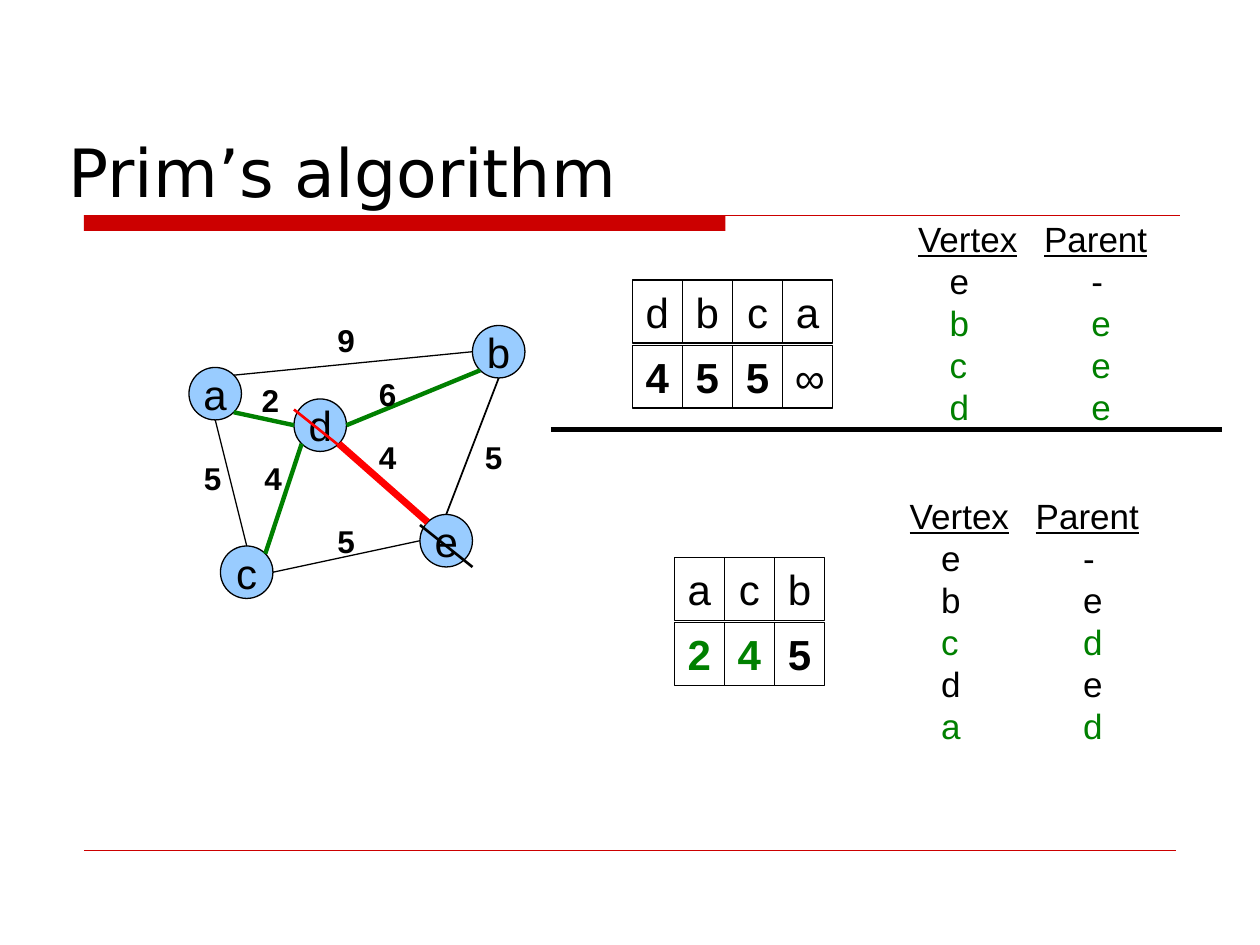
from math import cos, radians, sin

from lxml.etree import SubElement
from pptx import Presentation
from pptx.dml.color import RGBColor
from pptx.enum.shapes import MSO_CONNECTOR, MSO_SHAPE
from pptx.enum.text import MSO_ANCHOR, MSO_AUTO_SIZE, PP_ALIGN
from pptx.oxml.ns import qn
from pptx.util import Pt

COLORS = {"black": "000000", "red": "FF0000", "green": "008000", "node": "99CCFF", "rule": "CC0000"}
COLORS = {name: RGBColor.from_string(value) for name, value in COLORS.items()}


def draw_line(start, end, color="black", width=0.75):
    line = slide.shapes.add_connector(MSO_CONNECTOR.STRAIGHT, *map(Pt, (*start, *end)))
    line.line.color.rgb = COLORS[color]
    line.line.width = Pt(width)
    SubElement(line._element.spPr, qn("a:effectLst"))


def write(paragraph, text, size, color="black", **formats):
    run = paragraph.add_run()
    run.text = text
    run.font.color.rgb = COLORS[color]
    for attribute, value in {"name": "Arial", "size": Pt(size), **formats}.items():
        setattr(run.font, attribute, value)


prs = Presentation()
prs.slide_width, prs.slide_height = Pt(720), Pt(540)
slide = prs.slides.add_slide(prs.slide_layouts[5])

title_bar = slide.shapes.add_shape(MSO_SHAPE.RECTANGLE, Pt(48), Pt(123), Pt(366.5), Pt(9))
title_bar.shadow.inherit = False
title_bar.fill.solid()
title_bar.fill.fore_color.rgb = COLORS["rule"]
title_bar.line.fill.background()
draw_line((48, 123), (674.5, 123), "rule")
draw_line((48, 486), (672, 486), "rule", 0.25)

title = slide.shapes.title
title.left, title.top, title.width, title.height = Pt(32), Pt(70), Pt(688), Pt(54)
title.text_frame.auto_size = MSO_AUTO_SIZE.NONE
title.text_frame.vertical_anchor = MSO_ANCHOR.BOTTOM
title.text_frame.paragraphs[0].alignment = PP_ALIGN.LEFT
write(title.text_frame.paragraphs[0], "Prim’s algorithm", 38, name="DejaVu Sans")

RADIUS = 15
vertices = {"a": (123, 225), "c": (141, 327), "e": (255, 309), "d": (183, 243), "b": (285, 201)}
for vertex, (x, y) in vertices.items():
    circle = slide.shapes.add_shape(
        MSO_SHAPE.OVAL, Pt(x - RADIUS), Pt(y - RADIUS), Pt(2 * RADIUS), Pt(2 * RADIUS))
    circle.shadow.inherit = False
    circle.fill.solid()
    circle.fill.fore_color.rgb = COLORS["node"]
    circle.line.color.rgb = COLORS["black"]
    circle.line.width = Pt(0.75)
    circle.text_frame.word_wrap = False
    circle.text_frame.vertical_anchor = MSO_ANCHOR.MIDDLE
    circle.text_frame.paragraphs[0].alignment = PP_ALIGN.CENTER
    write(circle.text_frame.paragraphs[0], vertex, 24)

edges = [
    ("a", -45, "b", 180, "black", 0.75),
    ("d", 0, "b", 135, "green", 2.5),
    ("a", 90, "c", -90, "black", 0.75),
    ("a", 45, "d", 180, "green", 2.5),
    ("c", -45, "d", 135, "green", 2.5),
    ("d", 45, "e", -135, "red", 4),
    ("b", 90, "e", -90, "black", 1),
    ("e", 180, "c", 0, "black", 0.75),
]
for first, first_angle, second, second_angle, color, width in edges:
    ends = [
        (vertices[vertex][0] + RADIUS * cos(radians(angle)),
         vertices[vertex][1] + RADIUS * sin(radians(angle)))
        for vertex, angle in ((first, first_angle), (second, second_angle))
    ]
    draw_line(*ends, color, width)

weights = [
    ("2", 142.5, 214), ("4", 144, 259), ("5", 109.5, 259), ("9", 185.75, 180),
    ("6", 209.5, 211), ("4", 209.5, 247), ("5", 185.75, 295), ("5", 270, 247),
]
for weight, left, top in weights:
    label = slide.shapes.add_textbox(Pt(left), Pt(top), Pt(24.5), Pt(29))
    label.text_frame.word_wrap = False
    label.text_frame.auto_size = MSO_AUTO_SIZE.SHAPE_TO_FIT_TEXT
    write(label.text_frame.paragraphs[0], weight, 18, bold=True)

for vertex, color in (("e", "black"), ("d", "red")):
    x, y = vertices[vertex]
    draw_line((x - RADIUS, y - 9), (x + RADIUS, y + RADIUS), color, 1.5)
draw_line((314.75, 245.5), (698.5, 245.5), width=3)

CELL_WIDTH, CELL_HEIGHT, ROW_PITCH = 28.65, 36, 37.25
steps = [
    {
        "queue_at": (361.25, 160),
        "queue": [("d", "4", "black"), ("b", "5", "black"), ("c", "5", "black"), ("a", "∞", "black")],
        "parents_at": (517.5, 120.5),
        "parents": [("e", "-", "black"), ("b", "e", "green"), ("c", "e", "green"), ("d", "e", "green")],
    },
    {
        "queue_at": (385.25, 318.5),
        "queue": [("a", "2", "green"), ("c", "4", "green"), ("b", "5", "black")],
        "parents_at": (512.75, 278.75),
        "parents": [("e", "-", "black"), ("b", "e", "black"), ("c", "d", "green"),
                    ("d", "e", "black"), ("a", "d", "green")],
    },
]
for step in steps:
    group = slide.shapes.add_group_shape()
    left, top = step["queue_at"]
    for column, (vertex, key, key_color) in enumerate(step["queue"]):
        for row, (text, color) in enumerate(((vertex, "black"), (key, key_color))):
            cell = group.shapes.add_shape(
                MSO_SHAPE.RECTANGLE, Pt(left + column * CELL_WIDTH), Pt(top + row * ROW_PITCH),
                Pt(CELL_WIDTH), Pt(CELL_HEIGHT))
            cell.shadow.inherit = False
            cell.fill.background()
            cell.line.color.rgb = COLORS["black"]
            cell.line.width = Pt(0.75)
            cell.text_frame.word_wrap = True
            cell.text_frame.auto_size = MSO_AUTO_SIZE.SHAPE_TO_FIT_TEXT
            cell.text_frame.vertical_anchor = MSO_ANCHOR.TOP
            paragraph = cell.text_frame.paragraphs[0]
            paragraph.alignment = PP_ALIGN.CENTER
            paragraph.space_before = Pt(15)
            write(paragraph, text, 24, color, bold=row == 1 and text != "∞")

    left, top = step["parents_at"]
    height = 7.2 + 24 * (len(step["parents"]) + 1)
    parents = group.shapes.add_textbox(Pt(left), Pt(top), Pt(145.5), Pt(height)).text_frame
    parents.word_wrap = False
    parents.auto_size = MSO_AUTO_SIZE.SHAPE_TO_FIT_TEXT
    write(parents.paragraphs[0], "Vertex\tParent", 20, underline=True)
    for vertex, parent, color in step["parents"]:
        write(parents.add_paragraph(), f"\t{vertex}\t\t{parent}", 20, color)
    for paragraph in parents.paragraphs:
        tabs = SubElement(paragraph._p.get_or_add_pPr(), qn("a:tabLst"))
        for position in (18, 72, 99):
            SubElement(tabs, qn("a:tab"), pos=str(Pt(position)), algn="l")

prs.save("out.pptx")
